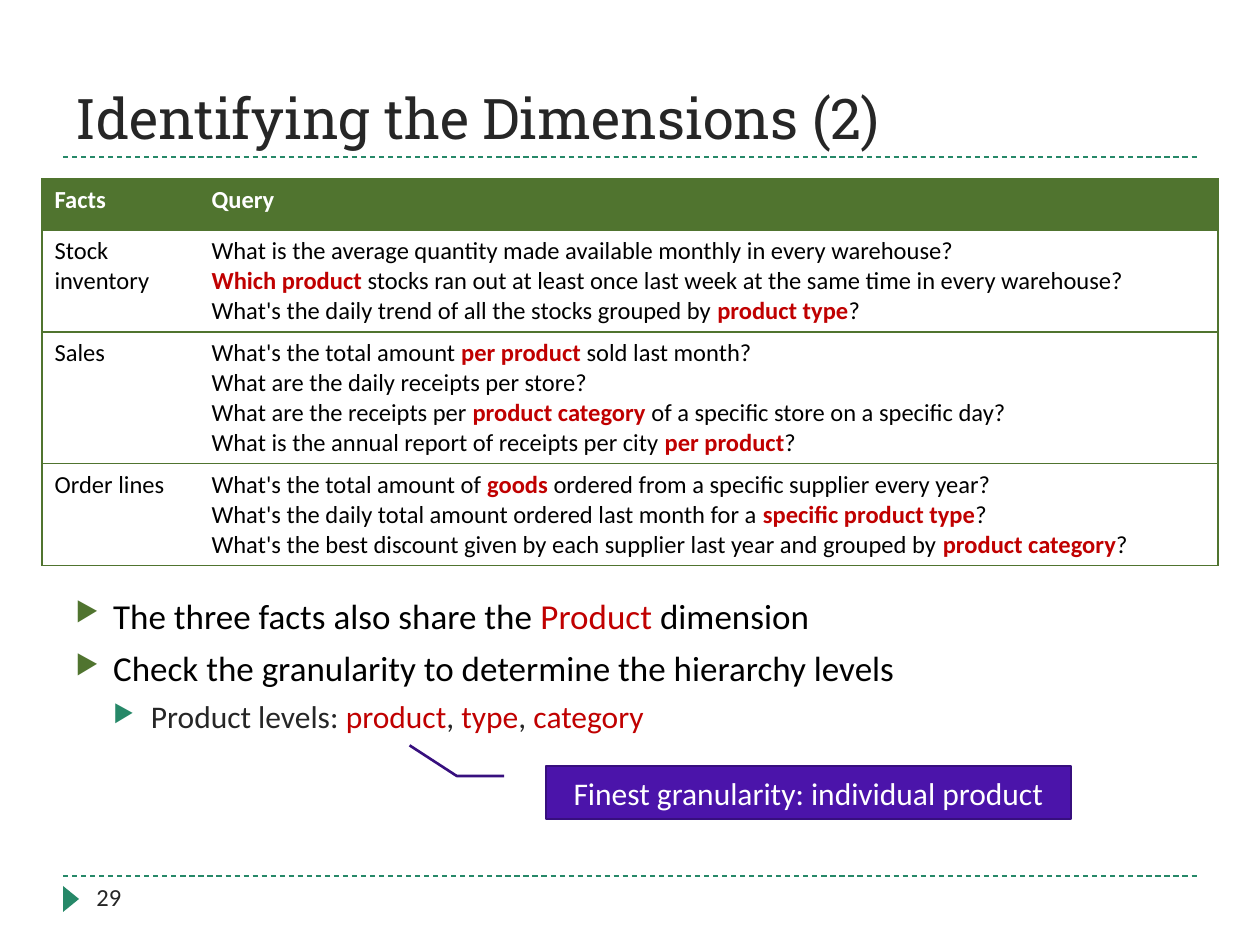
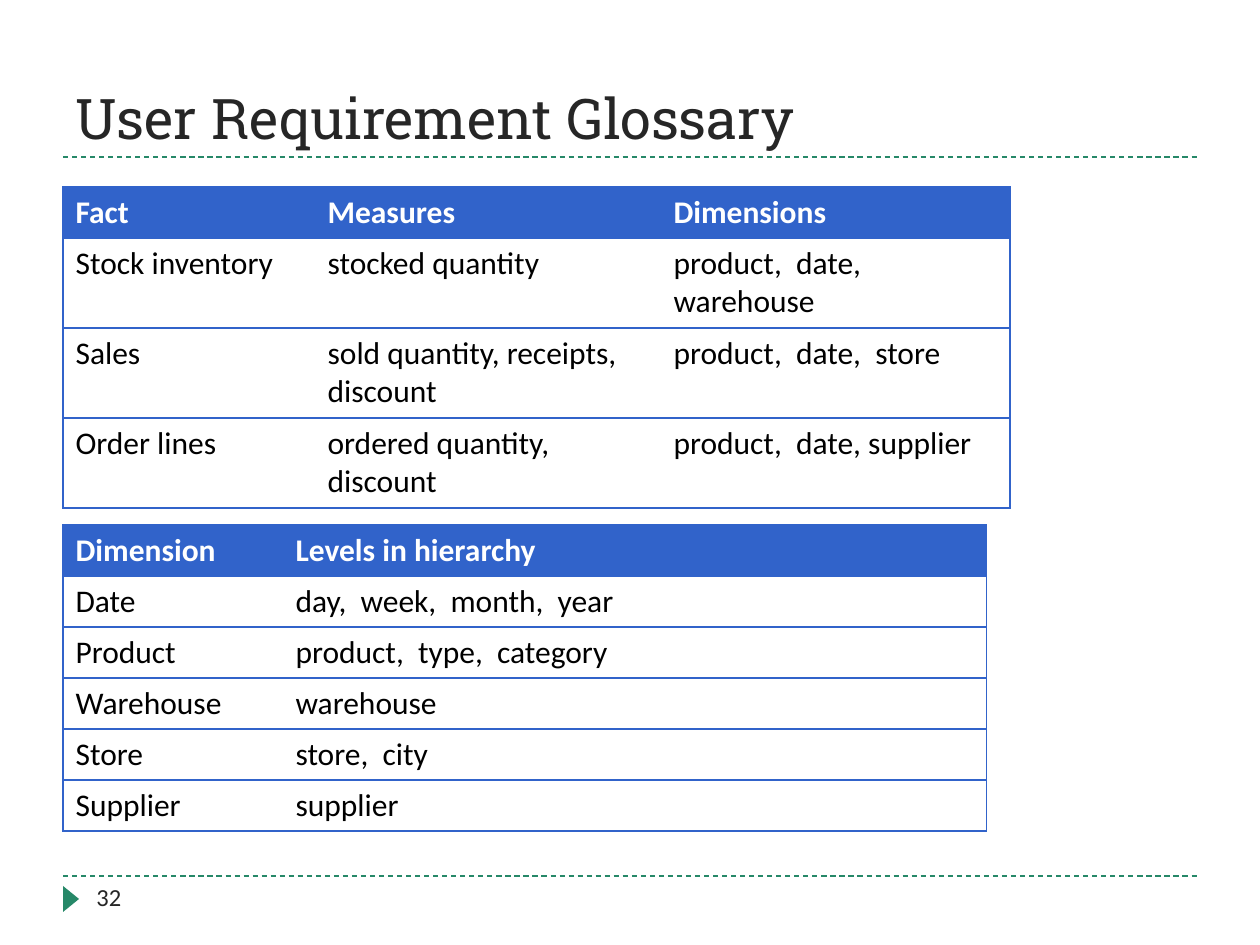
from dataclasses import dataclass

from lxml.etree import SubElement
from pptx import Presentation
from pptx.dml.color import RGBColor
from pptx.enum.dml import MSO_LINE
from pptx.enum.shapes import MSO_CONNECTOR, MSO_SHAPE
from pptx.enum.text import MSO_ANCHOR, PP_ALIGN
from pptx.oxml.ns import qn
from pptx.util import Emu, Inches, Pt

SCALE = 914400 / 126


@dataclass(frozen=True)
class Theme:
    """Colours, fonts and type sizes of the deck."""
    teal: str = "268868"
    green: str = "50742F"
    blue: str = "3163CA"
    red: str = "C00000"
    purple: str = "4B14AA"
    edge: str = "370F7E"
    dark: str = "262626"
    black: str = "000000"
    white: str = "FFFFFF"
    head: str = "Roboto Slab"
    body: str = "Calibri"
    title: int = 32
    large: int = 20
    mid: int = 18
    small: int = 14
    thin: float = 0.75
    thick: float = 1.5


THEME = Theme()


def px(*sizes):
    """Turn pixels into a list of EMU lengths."""
    return [Emu(round(size * SCALE)) for size in sizes]


def rgb(color):
    """Turn a hex string into a colour."""
    return RGBColor.from_string(color)


def write(para, text, size=THEME.mid, color=THEME.black, font=THEME.body,
          bold=False, accent_bold=False, align=PP_ALIGN.LEFT, before=0):
    """Write text into a paragraph; parts between stars are accented."""
    para.alignment = align
    para.space_before = Pt(before)
    for i, part in enumerate(text.split("*")):
        if not part:
            continue
        accent = i % 2 == 1
        run = para.add_run()
        run.text = part
        run.font.name = font
        run.font.size = Pt(size)
        run.font.bold = accent_bold if accent else bold
        run.font.color.rgb = rgb(THEME.red if accent else color)


def bullet(para, level, color):
    """Give a paragraph a triangle bullet and a hanging indent."""
    para.level = level
    props = para._p.get_or_add_pPr()
    props.set("marL", str(Inches(0.3 * (level + 1))))
    props.set("indent", str(Inches(-0.3)))
    SubElement(SubElement(props, qn("a:buClr")), qn("a:srgbClr"), val=color)
    SubElement(props, qn("a:buSzPct"), val="76000")
    SubElement(props, qn("a:buChar"), char="\u25b6")


def border(cell, color, sides):
    """Draw the named sides of a cell and clear the others."""
    props = cell._tc.get_or_add_tcPr()
    for side in "LRTB":
        line = SubElement(props, qn(f"a:ln{side}"), w=str(Pt(THEME.thin)))
        if side in sides:
            fill = SubElement(line, qn("a:solidFill"))
            SubElement(fill, qn("a:srgbClr"), val=color)
        else:
            SubElement(line, qn("a:noFill"))


class Deck:
    """Holds the theme and the current slide."""

    def __init__(self, theme):
        """Start an empty deck."""
        self.theme = theme
        self.show = Presentation()
        self.show.slide_width = Inches(10)
        self.show.slide_height = Inches(7.5)

    def page(self, title, number):
        """Add a slide with rules, marker, title and page number."""
        look = self.theme
        self.slide = self.show.slides.add_slide(self.show.slide_layouts[6])
        self.rule(876)
        self.rule(157)
        mark = self.shape(MSO_SHAPE.ISOSCELES_TRIANGLE, (58, 891, 26, 16),
                          look.teal)
        mark.rotation = 90
        frame = self.text((63, 21, 1134, 136), MSO_ANCHOR.BOTTOM)
        write(frame.paragraphs[0], title, size=look.title, color=look.dark,
              font=look.head)
        frame = self.text((84, 876, 273, 50))
        write(frame.paragraphs[0], number, size=look.small, color=look.dark)

    def rule(self, y):
        """Draw a dashed line across the slide."""
        line = self.slide.shapes.add_connector(
            MSO_CONNECTOR.STRAIGHT, *px(63, y, 1197, y))
        line.line.color.rgb = rgb(self.theme.teal)
        line.line.width = Pt(self.theme.thin)
        line.line.dash_style = MSO_LINE.DASH
        SubElement(line._element.spPr, qn("a:effectLst"))

    def shape(self, kind, box, fill, edge=None):
        """Add a filled preset shape."""
        shape = self.slide.shapes.add_shape(kind, *px(*box))
        shape.shadow.inherit = False
        shape.fill.solid()
        shape.fill.fore_color.rgb = rgb(fill)
        if edge:
            shape.line.color.rgb = rgb(edge)
            shape.line.width = Pt(self.theme.thick)
        else:
            shape.line.fill.background()
        return shape

    def text(self, box, anchor=MSO_ANCHOR.TOP):
        """Add a wrapping text box and return its frame."""
        frame = self.slide.shapes.add_textbox(*px(*box)).text_frame
        frame.word_wrap = True
        frame.vertical_anchor = anchor
        return frame

    def list(self, box, items):
        """Add bullets from pairs of level and text."""
        look = self.theme
        styles = [(look.large, look.black, look.green, 6),
                  (look.mid, look.dark, look.teal, 5)]
        frame = self.text(box)
        for i, (level, text) in enumerate(items):
            para = frame.add_paragraph() if i else frame.paragraphs[0]
            size, color, mark, before = styles[level]
            write(para, text, size=size, color=color, before=before)
            bullet(para, level, mark)

    def callout(self, box, text, bends):
        """Add a centred label with a bent leader line."""
        look = self.theme
        shape = self.shape(MSO_SHAPE.LINE_CALLOUT_2, box, look.purple,
                           look.edge)
        for i, bend in enumerate(bends):
            shape.adjustments[i] = bend
        frame = shape.text_frame
        frame.word_wrap = True
        frame.vertical_anchor = MSO_ANCHOR.MIDDLE
        write(frame.paragraphs[0], text, color=look.white,
              align=PP_ALIGN.CENTER)

    def table(self, spot, cols, rows, data, color, size):
        """Add a table with a solid header and ruled rows."""
        look = self.theme
        table = self.slide.shapes.add_table(
            len(rows), len(cols), *px(*spot, sum(cols), sum(rows))).table
        table.horz_banding = False
        for col, width in zip(table.columns, px(*cols)):
            col.width = width
        for row, height in zip(table.rows, px(*rows)):
            row.height = height
        for r, line in enumerate(data):
            for c, text in enumerate(line):
                cell = table.cell(r, c)
                sides = "TB" + "L" * (c == 0) + "R" * (c == len(cols) - 1)
                border(cell, color, sides)
                if r == 0:
                    cell.fill.solid()
                    cell.fill.fore_color.rgb = rgb(color)
                else:
                    cell.fill.background()
                frame = cell.text_frame
                for i, part in enumerate(text.split("\n")):
                    para = frame.add_paragraph() if i else frame.paragraphs[0]
                    write(para, part, size=size, bold=r == 0,
                          color=look.black if r else look.white,
                          accent_bold=True)


FACTS = [
    ("Facts", "Query"),
    ("Stock inventory",
     "What is the average quantity made available monthly in every warehouse?\n"
     "*Which product *stocks ran out at least once last week at the same time "
     "in every warehouse?\n"
     "What's the daily trend of all the stocks grouped by *product type*?"),
    ("Sales",
     "What's the total amount *per product *sold last month?\n"
     "What are the daily receipts per store?\n"
     "What are the receipts per *product category *of a specific store on a "
     "specific day?\n"
     "What is the annual report of receipts per city *per product*?"),
    ("Order lines",
     "What's the total amount of *goods* ordered from a specific supplier "
     "every year?\n"
     "What's the daily total amount ordered last month for a "
     "*specific product type*?\n"
     "What's the best discount given by each supplier last year and grouped "
     "by *product category*?"),
]
POINTS = [
    (0, "The three facts also share the *Product* dimension"),
    (0, "Check the granularity to determine the hierarchy levels"),
    (1, "Product levels: *product*, *type*, *category*"),
]
TERMS = [
    ("Fact", "Measures", "Dimensions"),
    ("Stock inventory", "stocked quantity", "product,  date, warehouse"),
    ("Sales", "sold quantity, receipts, discount", "product,  date,  store"),
    ("Order lines", "ordered quantity, discount", "product,  date, supplier"),
]
LEVELS = [
    ("Dimension", "Levels in hierarchy"),
    ("Date", "day,  week,  month,  year"),
    ("Product", "product,  type,  category"),
    ("Warehouse", "warehouse"),
    ("Store", "store,  city"),
    ("Supplier", "supplier"),
]


def main():
    """Build both slides and save them."""
    deck = Deck(THEME)
    deck.page("Identifying the Dimensions (2)", "29")
    deck.table((42, 179), (157, 1019), (51, 102, 132, 102), FACTS,
               THEME.green, THEME.small)
    deck.list((63, 588, 1134, 210), POINTS)
    deck.callout((546, 766, 525, 53), "Finest granularity: individual product",
                 (0.19, -0.08, 0.19, -0.17, -0.39, -0.26))

    deck.page("User Requirement Glossary", "32")
    deck.table((63, 187), (252, 346, 349), (51, 90, 90, 90), TERMS,
               THEME.blue, THEME.mid)
    deck.table((63, 525), (220, 704), [51] * len(LEVELS), LEVELS,
               THEME.blue, THEME.mid)
    deck.show.save("out.pptx")


main()
